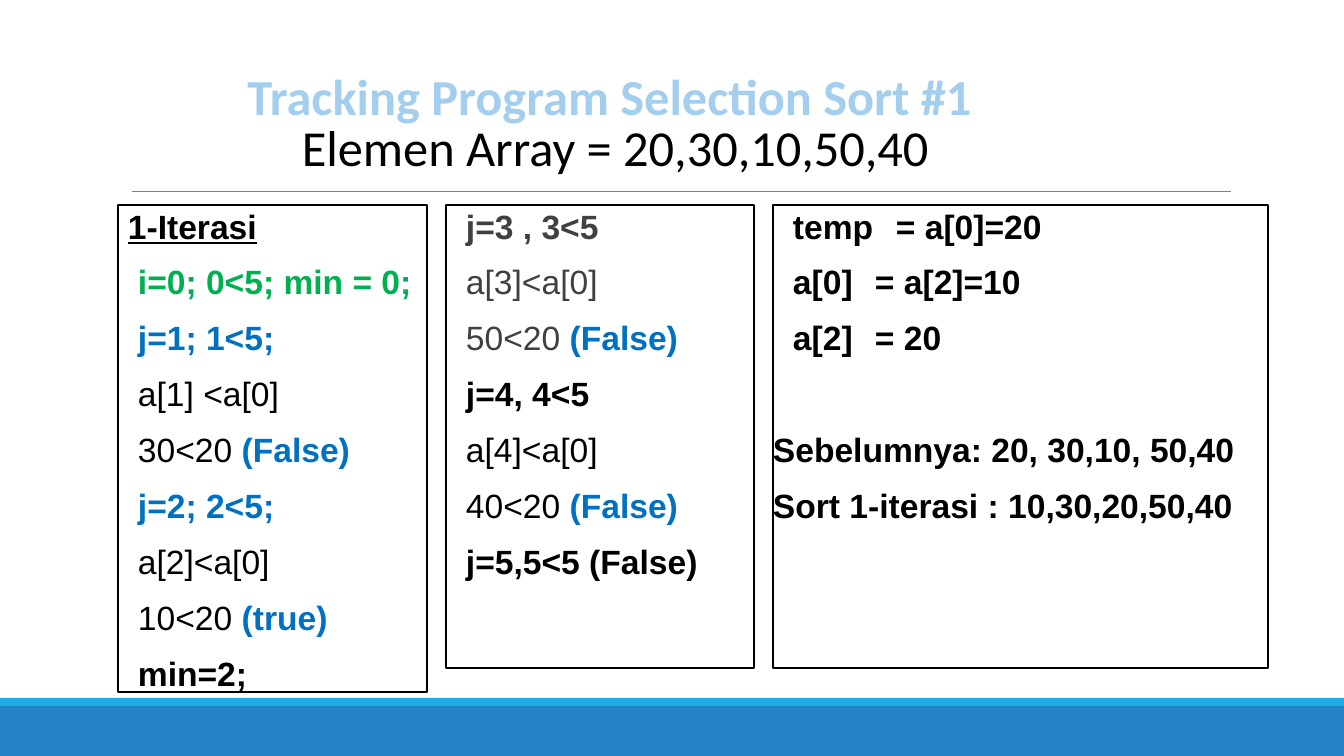
import pptx
import pptx.util
import pptx.dml.color
import pptx.enum.shapes
import pptx.enum.text
from lxml import etree

COLORS = {
    "black": "000000", "white": "FFFFFF", "gray": "404040", "rule": "808080",
    "green": "00B050", "blue": "0070C0", "title": "A3CEED",
    "band": "2683C6", "stripe": "1CADE4",
}

# name: left, top, width, height in px
BANDS = [("band", (0, 706, 1344, 50)), ("stripe", (0, 698, 1344, 8))]
RULE = (132, 191, 1231, 191)
TITLE_BOX = (61, 52, 1109, 130)
TITLE = [("Tracking Program Selection Sort #1 ", "title", True),
         ("Elemen Array = 20,30,10,50,40", "black", False)]

# Each line is a list of runs: text, colour, bold
FALSE = ("(False)", "blue", True)
PANELS = [
    ((118, 205, 309, 487), [
        [("1-Iterasi", "black", True)],
        [("\ti=0; 0<5; min = 0;", "green", True)],
        [("\tj=1; 1<5;", "blue", True)],
        [("\ta[1] <a[0]", "black", False)],
        [("\t30<20 ", "black", False), FALSE],
        [("\tj=2; 2<5;", "blue", True)],
        [("\ta[2]<a[0]", "black", False)],
        [("\t10<20", "black", False), (" (true)", "blue", True)],
        [("\tmin=2;", "black", True)],
    ]),
    ((773, 205, 495, 463), [
        [("\ttemp \t= a[0]=20", "black", True)],
        [("\ta[0] \t= a[2]=10", "black", True)],
        [("\ta[2] \t= 20", "black", True)],
        [("Sebelumnya: 20, 30,10, 50,40", "black", True)],
        [("Sort 1-iterasi : 10,30,20,50,40", "black", True)],
    ]),
    ((446, 205, 308, 463), [
        [("\tj=3 , 3<5", "gray", True)],
        [("\ta[3]<a[0]", "gray", False)],
        [("\t50<20 ", "gray", False), FALSE],
        [("\tj=4, 4<5", "black", True)],
        [("\ta[4]<a[0]", "black", False)],
        [("\t40<20 ", "black", False), FALSE],
        [("\tj=5,5<5 (False)", "black", True)],
    ]),
]
HEADING = "1-Iterasi"
AFTER_GAP = "Sebelumnya: 20, 30,10, 50,40"
TAB_STOPS = (20, 102, 123)
SPACE_BEFORE, SPACE_AFTER, LINE_PITCH = 12, 2, 40


def px(n):
    return pptx.util.Emu(round(n * 914400 / 100.8))


def rgb(name):
    return pptx.dml.color.RGBColor.from_string(COLORS[name])


def add_run(p, text, color, bold, size, font):
    r = p.add_run()
    r.text = text
    r.font.size = pptx.util.Pt(size)
    r.font.name = font
    r.font.bold = bold
    r.font.color.rgb = rgb(color)
    return r


def add_tabs(p):
    tabs = etree.SubElement(p._p.get_or_add_pPr(), pptx.oxml.ns.qn("a:tabLst"))
    for stop in TAB_STOPS:
        etree.SubElement(tabs, pptx.oxml.ns.qn("a:tab"), pos=str(px(stop)), algn="l")


def add_panel(s, box, lines):
    sp = s.shapes.add_textbox(*map(px, box))
    sp.fill.solid()
    sp.fill.fore_color.rgb = rgb("white")
    sp.line.color.rgb = rgb("black")
    sp.line.width = pptx.util.Pt(1.25)
    tf = sp.text_frame
    tf.word_wrap = True
    tf.margin_left = tf.margin_right = 0
    tf.margin_top = tf.margin_bottom = px(5)
    for i, runs in enumerate(lines):
        p = tf.paragraphs[0] if i == 0 else tf.add_paragraph()
        first = runs[0][0]
        gap = LINE_PITCH if first == AFTER_GAP else 0
        p.line_spacing = 0.9
        p.space_before = pptx.util.Pt(SPACE_BEFORE + gap)
        p.space_after = pptx.util.Pt(SPACE_AFTER)
        if first.startswith("\t"):
            add_tabs(p)
        for text, color, bold in runs:
            r = add_run(p, text, color, bold, 24, "Arial")
            if text == HEADING:
                r.font.underline = True
                p._p.get_or_add_pPr().set("marL", str(px(10)))


prs = pptx.Presentation()
prs.slide_width, prs.slide_height = px(1344), px(756)
s = prs.slides.add_slide(prs.slide_layouts[6])

for color, box in BANDS:
    sp = s.shapes.add_shape(pptx.enum.shapes.MSO_SHAPE.RECTANGLE, *map(px, box))
    sp.shadow.inherit = False
    sp.fill.solid()
    sp.fill.fore_color.rgb = rgb(color)
    sp.line.fill.background()

rule = s.shapes.add_connector(pptx.enum.shapes.MSO_CONNECTOR.STRAIGHT, *map(px, RULE))
rule.line.color.rgb = rgb("rule")
rule.line.width = pptx.util.Pt(0.5)
etree.SubElement(rule._element.spPr, pptx.oxml.ns.qn("a:effectLst"))

tf = s.shapes.add_textbox(*map(px, TITLE_BOX)).text_frame
tf.word_wrap = True
tf.vertical_anchor = pptx.enum.text.MSO_ANCHOR.BOTTOM
p = tf.paragraphs[0]
p.alignment = pptx.enum.text.PP_ALIGN.CENTER
p.line_spacing = 0.85
for i, (text, color, bold) in enumerate(TITLE):
    if i:
        p.add_line_break()
    add_run(p, text, color, bold, 36, "Calibri")

for box, lines in PANELS:
    add_panel(s, box, lines)

prs.save("out.pptx")
